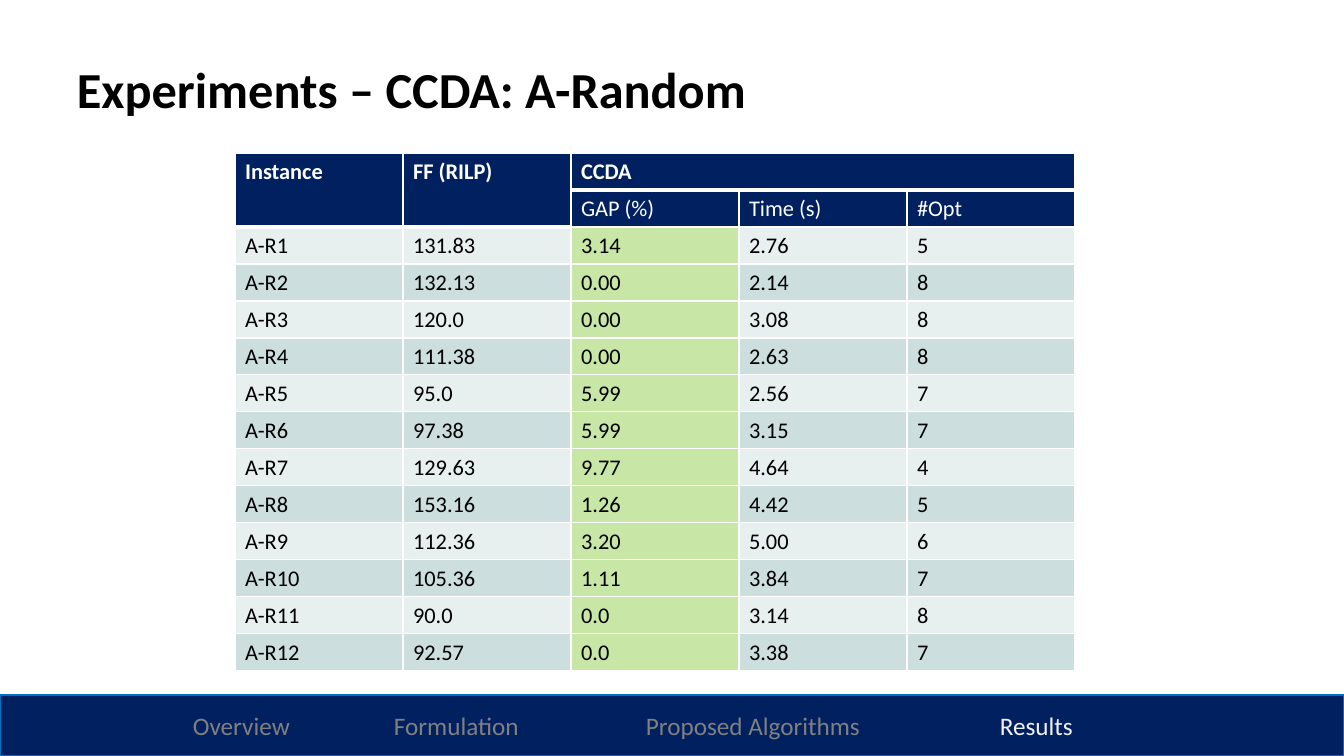
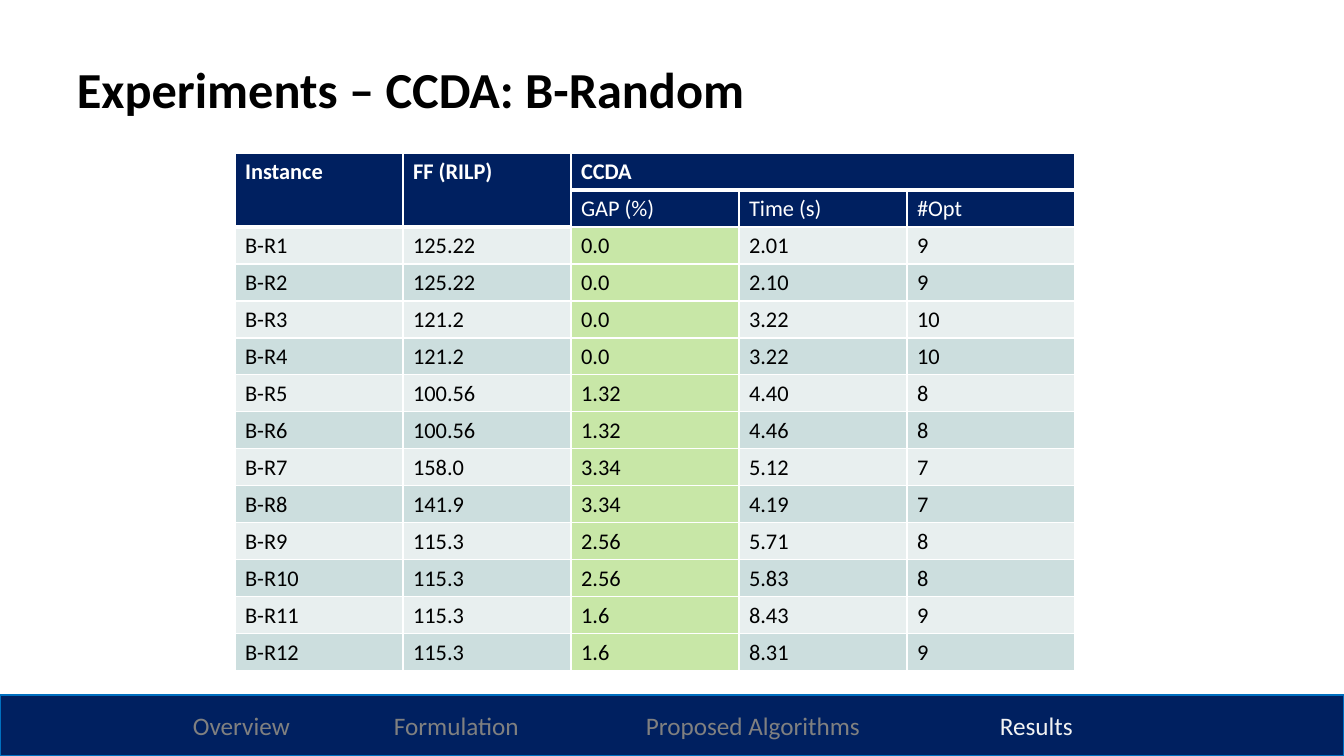
"""Build two result slides, each with a table of experiments and a section footer."""
from lxml.etree import SubElement
from pptx import Presentation
from pptx.dml.color import RGBColor
from pptx.enum.shapes import MSO_SHAPE
from pptx.enum.text import MSO_ANCHOR, PP_ALIGN
from pptx.oxml.ns import qn
from pptx.util import Pt

PX = 914400 / 100.8
FONT = "Calibri"
NAVY = RGBColor(0x00, 0x20, 0x60)
BLUE = RGBColor(0x00, 0x70, 0xC0)
GREEN = RGBColor(0x92, 0xD0, 0x50)
PALE = RGBColor(0xE8, 0xEF, 0xEF)
TEAL = RGBColor(0xCC, 0xDE, 0xDE)
GRAY = RGBColor(0x80, 0x80, 0x80)
LIGHT = RGBColor(0xF2, 0xF2, 0xF2)
WHITE = RGBColor(0xFF, 0xFF, 0xFF)
BLACK = RGBColor(0x00, 0x00, 0x00)

SECTIONS = {"Overview": 183, "Formulation": 384, "Proposed Algorithms": 636, "Results": 990}
HEADERS = [
    ("Instance", "FF (RILP)", "CCDA", "", ""),
    ("", "", "GAP (%)", "Time (s)", "#Opt"),
]
GAP_COLUMN = 2
RESULTS = {
    "A": [
        ("131.83", "3.14", "2.76", "5"),
        ("132.13", "0.00", "2.14", "8"),
        ("120.0", "0.00", "3.08", "8"),
        ("111.38", "0.00", "2.63", "8"),
        ("95.0", "5.99", "2.56", "7"),
        ("97.38", "5.99", "3.15", "7"),
        ("129.63", "9.77", "4.64", "4"),
        ("153.16", "1.26", "4.42", "5"),
        ("112.36", "3.20", "5.00", "6"),
        ("105.36", "1.11", "3.84", "7"),
        ("90.0", "0.0", "3.14", "8"),
        ("92.57", "0.0", "3.38", "7"),
    ],
    "B": [
        ("125.22", "0.0", "2.01", "9"),
        ("125.22", "0.0", "2.10", "9"),
        ("121.2", "0.0", "3.22", "10"),
        ("121.2", "0.0", "3.22", "10"),
        ("100.56", "1.32", "4.40", "8"),
        ("100.56", "1.32", "4.46", "8"),
        ("158.0", "3.34", "5.12", "7"),
        ("141.9", "3.34", "4.19", "7"),
        ("115.3", "2.56", "5.71", "8"),
        ("115.3", "2.56", "5.83", "8"),
        ("115.3", "1.6", "8.43", "9"),
        ("115.3", "1.6", "8.31", "9"),
    ],
}


def px(*lengths):
    return [round(length * PX) for length in lengths]


class SlideBuilder:
    def __init__(self):
        self.deck = Presentation()
        self.deck.slide_width, self.deck.slide_height = px(1344, 756)
        self.slide = None

    def new_slide(self):
        self.slide = self.deck.slides.add_slide(self.deck.slide_layouts[6])

    def style(self, span, size, color, bold=False):
        span.font.name = FONT
        span.font.size = Pt(size)
        span.font.bold = bold
        span.font.color.rgb = color

    def title(self, text):
        box = self.slide.shapes.add_textbox(*px(67, 60, 1174, 125))
        box.text_frame.word_wrap = True
        box.text_frame.text = text
        para = box.text_frame.paragraphs[0]
        para.line_spacing = 0.9
        self.style(para.runs[0], 36, BLACK, bold=True)

    def footer(self, current):
        band = self.slide.shapes.add_shape(MSO_SHAPE.RECTANGLE, *px(0, 695, 1344, 61))
        band.shadow.inherit = False
        band.fill.solid()
        band.fill.fore_color.rgb = NAVY
        band.line.color.rgb = BLUE
        band.line.width = Pt(1)
        band.text_frame.vertical_anchor = MSO_ANCHOR.MIDDLE
        para = band.text_frame.paragraphs[0]
        para.alignment = PP_ALIGN.LEFT
        tabs = SubElement(para._p.get_or_add_pPr(), qn("a:tabLst"))
        for section, left in SECTIONS.items():
            SubElement(tabs, qn("a:tab"), pos=str(px(left)[0]), algn="l")
            span = para.add_run()
            span.text = f"\t{section}"
            self.style(span, 18, LIGHT if section == current else GRAY)

    def borders(self, cell, top, bottom):
        properties = cell._tc.get_or_add_tcPr()
        for side, width in (("L", 1), ("R", 1), ("T", top), ("B", bottom)):
            line = SubElement(properties, qn(f"a:ln{side}"), w=str(Pt(width)))
            fill = SubElement(line, qn("a:solidFill"))
            SubElement(fill, qn("a:srgbClr"), val=str(WHITE))

    def fill_cell(self, cell, color, opacity=100):
        cell.fill.solid()
        cell.fill.fore_color.rgb = color
        if opacity < 100:
            tint = cell._tc.tcPr.find(qn("a:solidFill")).find(qn("a:srgbClr"))
            SubElement(tint, qn("a:alpha"), val=str(opacity * 1000))

    def table_cell(self, cell, text, row, column):
        header = row < len(HEADERS)
        heavy_row = 1 if column < GAP_COLUMN else 0
        self.borders(
            cell,
            top=3 if row == heavy_row + 1 else 1,
            bottom=3 if row <= heavy_row else 1,
        )
        if header:
            self.fill_cell(cell, NAVY)
        elif column == GAP_COLUMN:
            self.fill_cell(cell, GREEN, opacity=50)
        else:
            self.fill_cell(cell, TEAL if row % 2 else PALE)
        if text:
            cell.text_frame.text = text
            span = cell.text_frame.paragraphs[0].runs[0]
            self.style(span, 16, WHITE if header else BLACK, bold=row == 0)

    def table(self, rows):
        columns = len(rows[0])
        frame = self.slide.shapes.add_table(
            len(rows), columns, *px(235, 153, 168 * columns, 37 * len(rows))
        )
        table = frame.table
        for row, values in enumerate(rows):
            for column, text in enumerate(values):
                self.table_cell(table.cell(row, column), text, row, column)
        for column in range(GAP_COLUMN):
            table.cell(0, column).merge(table.cell(1, column))
        table.cell(0, GAP_COLUMN).merge(table.cell(0, columns - 1))


def main():
    builder = SlideBuilder()
    for family, results in RESULTS.items():
        instances = [
            (f"{family}-R{number}", *values) for number, values in enumerate(results, 1)
        ]
        builder.new_slide()
        builder.title(f"Experiments – CCDA: {family}-Random")
        builder.footer("Results")
        builder.table(HEADERS + instances)
    builder.deck.save("out.pptx")


if __name__ == "__main__":
    main()
